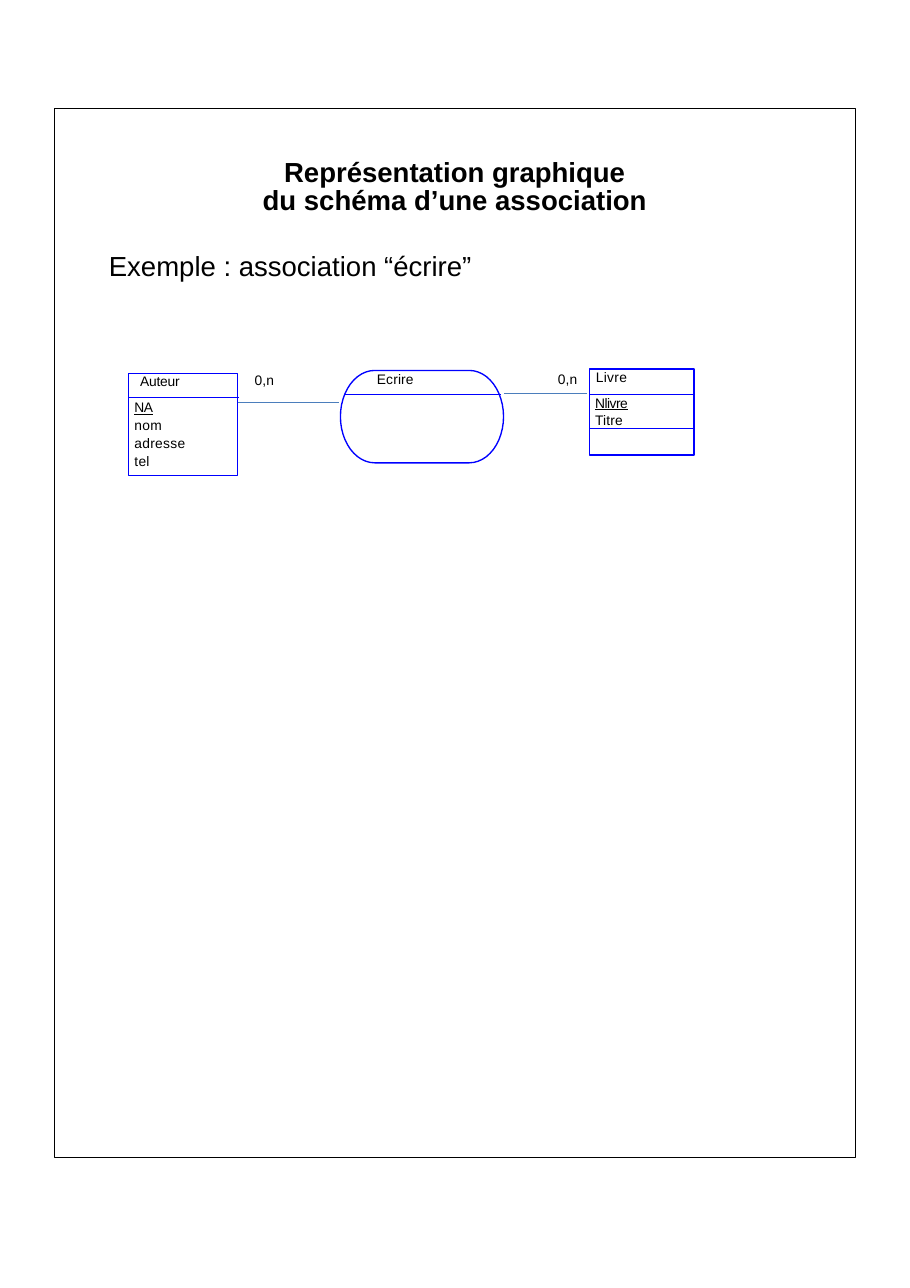
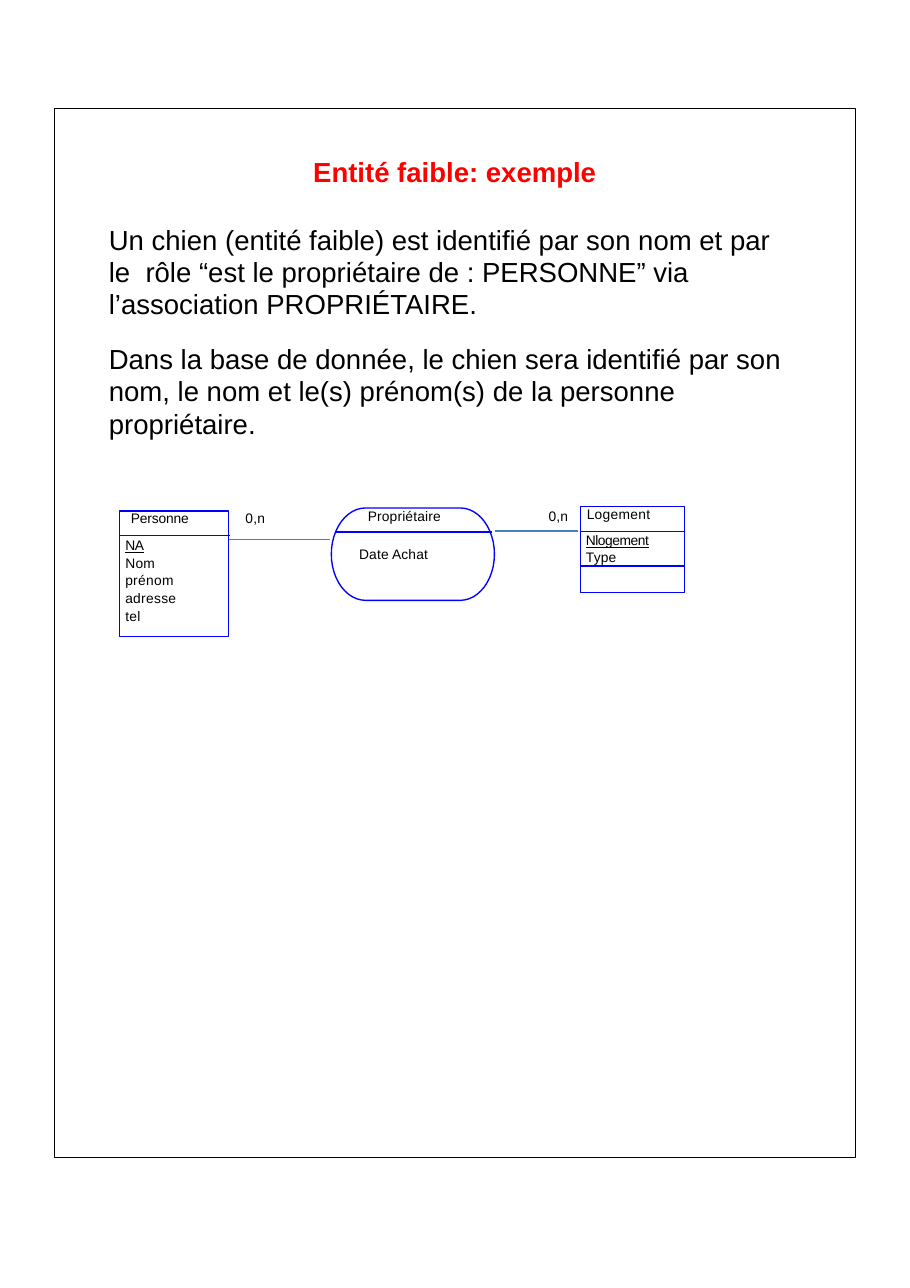
import math

from pptx import Presentation
from pptx import util as u
from pptx.dml.color import RGBColor
from pptx.enum import shapes, text
from pptx.oxml import parse_xml
from pptx.oxml.ns import nsdecls

BLACK, RED, BLUE, LINK = "000000", "FF0000", "0000FF", "4B7EBC"
TITLE = {"size": u.Pt(18), "bold": True}
BODY = {"size": u.Pt(18)}
LABEL = {"size": u.Pt(9)}
KEY = {"size": u.Pt(9), "underline": True}


def rgb(value):
    return RGBColor.from_string(value)


class Deck:
    """Shared style and the slide being drawn."""

    font = "Arial"
    border = 0.89

    def __init__(self):
        self.prs = Presentation()
        self.prs.slide_width, self.prs.slide_height = u.Cm(20.98), u.Cm(29.69)
        self.slide = None

    def new_slide(self, title, color):
        self.slide = self.prs.slides.add_slide(self.prs.slide_layouts[6])
        self.box(1.24, 2.49, 18.49, 24.18, BLACK, 0.25)
        p = self.text(2.51, 3.71, 15.95, 1.3, [(title, TITLE, 0)], color)[0]
        p.alignment, p.line_spacing = text.PP_ALIGN.CENTER, u.Pt(18)

    def outline(self, sp, color, width):
        sp.shadow.inherit = False
        sp.fill.background()
        sp.line.color.rgb = rgb(color)
        sp.line.width = u.Pt(width)
        return sp

    def box(self, x, y, w, h, color=BLUE, width=border):
        sp = self.slide.shapes.add_shape(
            shapes.MSO_SHAPE.RECTANGLE, u.Cm(x), u.Cm(y), u.Cm(w), u.Cm(h))
        return self.outline(sp, color, width)

    def capsule(self, x, y, w, h, rx):
        """Closed outline with elliptical ends, rx wide and h/2 high."""
        ry, points = h / 2, []
        for i in range(50):
            a = math.pi / 2 + math.pi * (i % 25) / 24
            side = 1 if i < 25 else -1
            cx = x + rx if i < 25 else x + w - rx
            points.append((u.Cm(cx + side * rx * math.cos(a)),
                           u.Cm(y + ry + side * ry * math.sin(a))))
        fb = self.slide.shapes.build_freeform(*points[0], scale=1.0)
        fb.add_line_segments(points[1:], close=True)
        self.outline(fb.convert_to_shape(), BLUE, self.border)

    def line(self, x1, x2, y, color=BLUE, width=border):
        sp = self.slide.shapes.add_connector(
            shapes.MSO_CONNECTOR.STRAIGHT, u.Cm(x1), u.Cm(y), u.Cm(x2), u.Cm(y))
        sp.line.color.rgb = rgb(color)
        sp.line.width = u.Pt(width)
        sp._element.spPr.append(parse_xml(f"<a:effectLst {nsdecls('a')}/>"))

    def fill_text(self, sp, lines, color=BLACK, left=0.0, top=0.0):
        """Each line is (words, font format, letter spacing in points)."""
        tf = sp.text_frame
        frame = {"word_wrap": True, "vertical_anchor": text.MSO_ANCHOR.TOP,
                 "margin_left": u.Cm(left), "margin_top": u.Cm(top),
                 "margin_right": 0, "margin_bottom": 0}
        for name, value in frame.items():
            setattr(tf, name, value)
        for i, (words, style, spacing) in enumerate(lines):
            p = tf.add_paragraph() if i else tf.paragraphs[0]
            p.alignment = text.PP_ALIGN.LEFT
            p.text = words
            for r in p.runs:
                r.font.name = self.font
                r.font.color.rgb = rgb(color)
                for name, value in style.items():
                    setattr(r.font, name, value)
                r._r.get_or_add_rPr().set("spc", str(round(spacing * 100)))
        return tf.paragraphs

    def text(self, x, y, w, h, lines, color=BLACK, **margins):
        sp = self.slide.shapes.add_textbox(u.Cm(x), u.Cm(y), u.Cm(w), u.Cm(h))
        return self.fill_text(sp, lines, color, **margins)

    def label(self, x, y, words, spacing=0.1, w=2.1):
        self.text(x, y, w, 0.42, [(words, LABEL, spacing)], left=0.03, top=0.03)

    def body(self, y, h, *paragraphs):
        for p in self.text(2.51, y, 15.8, h, [(t, BODY, 0) for t in paragraphs]):
            p.line_spacing, p.space_before = u.Pt(21), u.Pt(15)

    def diagram(self, x, y, owner, fields, height, link, target, keys, note=None):
        # Left entity: name above, attributes below
        self.box(x, y + 0.1, 2.51, height)
        self.line(x, x + 2.54, y + 0.66)
        self.label(x + 0.23, y + 0.05, owner, -0.1)
        rows = [(fields[0], KEY, -0.3)] + [(f, LABEL, 0.2) for f in fields[1:]]
        attributes = self.text(x + 0.1, y + 0.61, 1.78, height - 0.7, rows,
                               left=0.03, top=0.08)
        for p in attributes[1:]:
            p.line_spacing = u.Pt(11.6)

        # Association
        self.capsule(x + 4.88, y + 0.03, 3.76, 2.13, 0.79)
        self.line(x + 4.98, x + 8.59, y + 0.58)
        self.label(x + 5.69, y, link)
        if note:
            self.label(x + 5.49, y + 0.86, note)

        # Right entity
        self.box(x + 10.62, y, 2.41, 1.98)
        self.label(x + 10.74, y - 0.05, target, 0.2)
        sp = self.box(x + 10.62, y + 0.58, 2.41, 0.79)
        rows = [(keys[0], KEY, -0.3), (keys[1], LABEL, 0.1)]
        self.fill_text(sp, rows, left=0.13)[1].space_before = u.Pt(0.5)

        # Links and cardinalities
        self.line(x + 2.51, x + 4.85, y + 0.76, LINK, 0.75)
        self.line(x + 10.57, x + 8.66, y + 0.56, LINK, 0.75)
        for dx, dy in ((2.87, 0.03), (9.86, 0)):
            self.label(x + dx, y + dy, "0,n", w=0.6)


def main():
    deck = Deck()

    # Slide 1: the association "écrire"
    deck.new_slide("Représentation graphique\vdu schéma d’une association", BLACK)
    deck.body(5.76, 0.8, "Exemple : association “écrire”")
    deck.diagram(2.97, 8.51, "Auteur", ("NA", "nom", "adresse", "tel"), 2.36,
                 "Ecrire", "Livre", ("Nlivre", "Titre"))

    # Slide 2: weak entity
    deck.new_slide("Entité faible: exemple", RED)
    deck.body(
        5.16, 5,
        "Un chien (entité faible) est identifié par son nom et par le  rôle "
        "“est le propriétaire de : PERSONNE” via l’association PROPRIÉTAIRE.",
        "Dans la base de donnée, le chien sera identifié par son  nom, le nom "
        "et le(s) prénom(s) de la personne propriétaire.")
    deck.diagram(2.76, 11.68, "Personne",
                 ("NA", "Nom", "prénom", "adresse", "tel"), 2.89,
                 "Propriétaire", "Logement", ("Nlogement", "Type"), "Date Achat")

    deck.prs.save("out.pptx")


if __name__ == "__main__":
    main()
